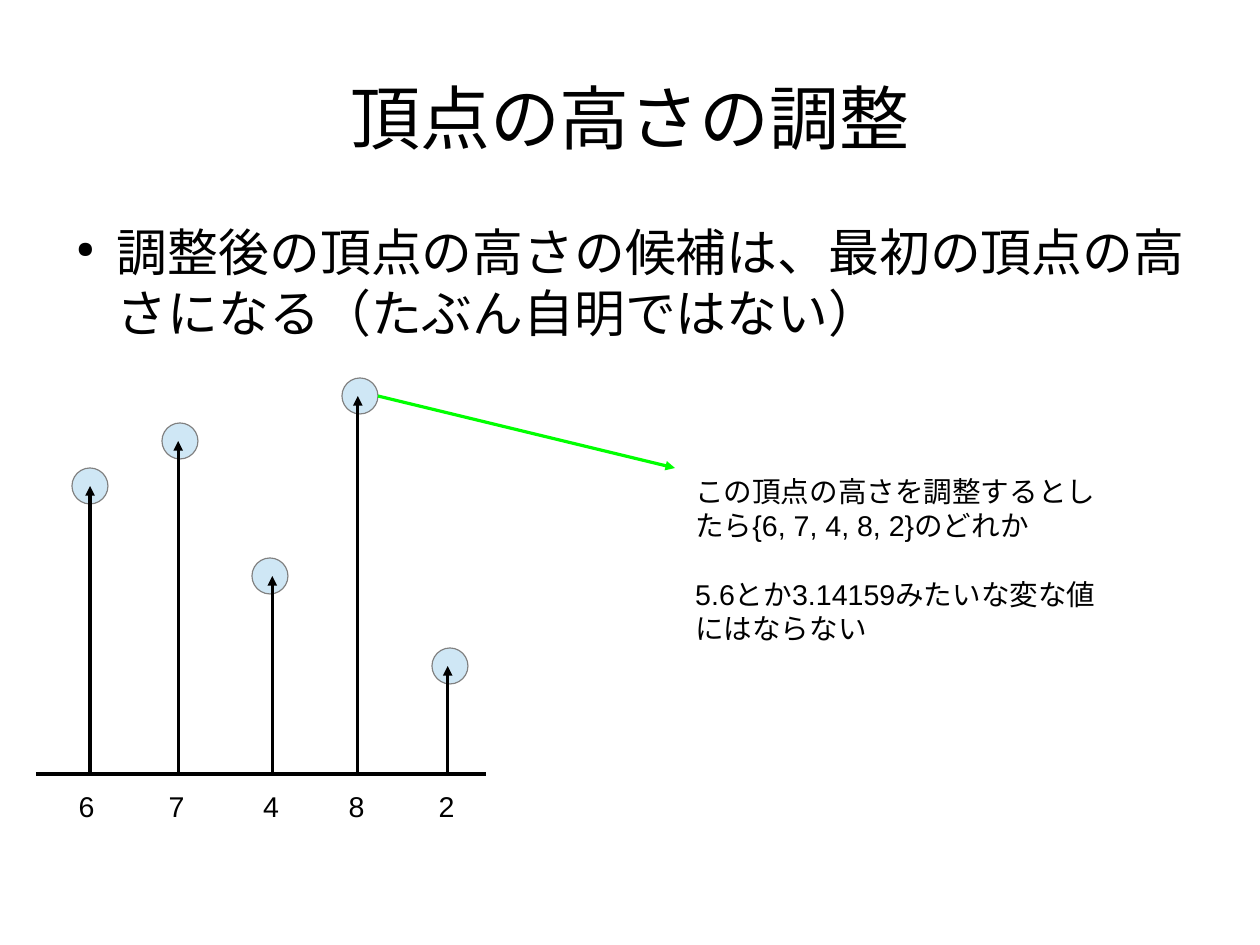
from lxml import etree
from pptx import Presentation
from pptx.dml.color import RGBColor
from pptx.enum.lang import MSO_LANGUAGE_ID
from pptx.enum.shapes import MSO_CONNECTOR, MSO_SHAPE
from pptx.enum.text import MSO_ANCHOR, PP_ALIGN
from pptx.oxml.ns import qn
from pptx.util import Cm, Pt

STRAIGHT = MSO_CONNECTOR.STRAIGHT
OVAL = MSO_SHAPE.OVAL
JAPANESE = MSO_LANGUAGE_ID.JAPANESE
TOP, MIDDLE = MSO_ANCHOR.TOP, MSO_ANCHOR.MIDDLE
LEFT, CENTER = PP_ALIGN.LEFT, PP_ALIGN.CENTER

# The slide is a grid of 28 columns and 21 rows, one centimetre each
COLUMNS, ROWS = 28, 21
BLACK, GREY, PALE_BLUE, GREEN = "000000", "808080", "CFE7F5", "00FF00"


def color(hex_code):
    return RGBColor.from_string(hex_code)


class SlideBuilder:
    """Holds the style and the current slide."""

    font = "Arial"
    hairline = Pt(0)

    def __init__(self, deck):
        self.slide = deck.slides.add_slide(deck.slide_layouts[6])

    def text(self, area, lines, size, align=LEFT, anchor=TOP,
             margins=(0.25, 0.13), gap=0):
        box = self.slide.shapes.add_textbox(*map(Cm, area))
        frame = box.text_frame
        frame.word_wrap = True
        frame.vertical_anchor = anchor
        frame.margin_left = frame.margin_right = Cm(margins[0])
        frame.margin_top = frame.margin_bottom = Cm(margins[1])
        frame.text = "\n".join(lines)
        for number, para in enumerate(frame.paragraphs):
            para.alignment = align
            if number:
                para.space_before = Pt(gap)
            for span in para.runs:
                span.font.name = self.font
                span.font.size = Pt(size)
                span.font.color.rgb = color(BLACK)
                span.font.language_id = JAPANESE
        return frame

    def bullet(self, para, margin, hanging, percent):
        properties = para._p.get_or_add_pPr()
        properties.set("marL", str(Cm(margin)))
        properties.set("indent", str(-Cm(hanging)))
        size = etree.SubElement(properties, qn("a:buSzPct"))
        size.set("val", str(percent * 1000))
        mark = etree.SubElement(properties, qn("a:buChar"))
        mark.set("char", "●")

    def circle(self, x, y, diameter):
        dot = self.slide.shapes.add_shape(
            OVAL, Cm(x - diameter / 2), Cm(y - diameter / 2),
            Cm(diameter), Cm(diameter))
        dot.shadow.inherit = False
        dot.fill.solid()
        dot.fill.fore_color.rgb = color(PALE_BLUE)
        dot.line.color.rgb = color(GREY)
        dot.line.width = self.hairline

    def line(self, start, end, hex_code=BLACK, arrow=True):
        connector = self.slide.shapes.add_connector(
            STRAIGHT, *map(Cm, start + end))
        connector.line.color.rgb = color(hex_code)
        connector.line.width = self.hairline
        if arrow:
            head = etree.SubElement(connector.line._get_or_add_ln(),
                                    qn("a:tailEnd"))
            head.set("type", "triangle")
        etree.SubElement(connector._element.spPr, qn("a:effectLst"))


def main():
    deck = Presentation()
    deck.slide_width, deck.slide_height = Cm(COLUMNS), Cm(ROWS)
    page = SlideBuilder(deck)

    # Title and main point
    page.text((1.4, 0.84, 25.2, 3.5), ["頂点の高さの調整"], 44,
              CENTER, MIDDLE, margins=(0, 0))
    body = page.text(
        (1.4, 4.9, 25.2, 13.87),
        ["調整後の頂点の高さの候補は、最初の頂点の高さになる（たぶん自明ではない）"],
        32, margins=(0, 0))
    page.bullet(body.paragraphs[0], 1.2, 0.9, 45)

    # Vertices: height, stem column, label column
    vertices = [(6, 2, 1.5), (7, 3.96, 3.5), (4, 6.05, 5.6),
                (8, 7.95, 7.5), (2, 9.95, 9.5)]
    zero_row, base_row, diameter = 16.8, 17.2, 0.8
    for number, (height, _, _) in enumerate(vertices):
        page.circle(2 + 2 * number, zero_row - height, diameter)

    # Base line, stems and height labels
    page.line((0.8, base_row), (10.8, base_row), arrow=False)
    for height, stem, label in vertices:
        page.line((stem, base_row), (stem, zero_row - height))
        page.text((label, 17.4, 0.8, 0.97), [str(height)], 18)

    # Remark on the highest vertex
    page.line((8.4, 8.8), (15, 10.4), GREEN)
    page.text((15.2, 10.4, 9.4, 4.65),
              ["この頂点の高さを調整するとしたら{6, 7, 4, 8, 2}のどれか",
               "5.6とか3.14159みたいな変な値にはならない"], 18, gap=21.7)

    deck.save("out.pptx")


if __name__ == "__main__":
    main()
